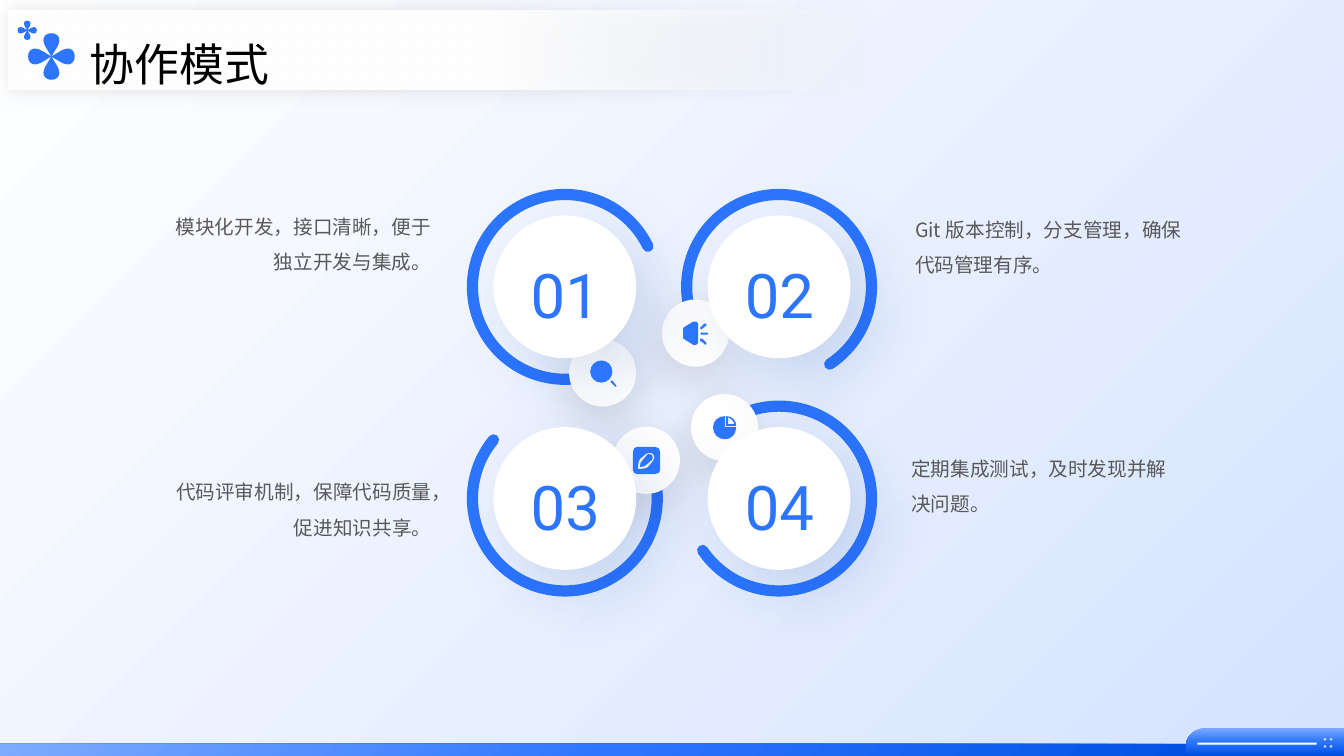
from dataclasses import dataclass
from math import cos, radians, sin

from lxml import etree
from pptx import Presentation, util as u
from pptx.dml.color import RGBColor
from pptx.enum import shapes, text
from pptx.oxml import ns

COLS, ROWS = 160, 90
CELL = u.Inches(1) // 12
HUNDREDTH = 0.12
COLORS = {
    "white": "FFFFFF", "mist": "D5E3FF", "blue": "2C75FF", "sky": "7EABFF",
    "deep": "004EE0", "navy": "003496", "black": "000000", "gray": "595959",
}
CJK, DIGITS = "Noto Sans CJK SC", "Roboto"
LEFT, CENTER, RIGHT = text.PP_ALIGN.LEFT, text.PP_ALIGN.CENTER, text.PP_ALIGN.RIGHT
KIND = shapes.MSO_SHAPE

Point = tuple[float, float]


@dataclass
class Contour:
    points: list[Point]
    commands: str


@dataclass
class Shadow:
    color: str
    alpha: int
    blur: float
    dist: float
    angle: int


@dataclass
class Mode:
    col: float
    row: float
    start: float
    end: float
    number: str
    note: str
    note_col: float
    note_row: float
    align: text.PP_ALIGN


@dataclass
class Bubble:
    col: float
    row: float
    icon: str


def circle(x: float, y: float, r: float) -> str:
    k = 0.55 * r
    return (f"M {x} {y - r} C {x + k} {y - r} {x + r} {y - k} {x + r} {y} "
            f"C {x + r} {y + k} {x + k} {y + r} {x} {y + r} "
            f"C {x - k} {y + r} {x - r} {y + k} {x - r} {y} "
            f"C {x - r} {y - k} {x - k} {y - r} {x} {y - r} Z ")


MODES = [
    Mode(56.25, 23.15, 74.06, 334.04, "01", "模块化开发，接口清晰，便于独立开发与集成。", 17.6, 23.6, RIGHT),
    Mode(81.75, 23.15, 150.55, 56.82, "02", "Git 版本控制，分支管理，确保代码管理有序。", 107.75, 23.95, LEFT),
    Mode(56.25, 48.35, 334.99, 219.45, "03", "代码评审机制，保障代码质量，促进知识共享。", 17.65, 55.2, RIGHT),
    Mode(81.75, 48.35, 234.44, 145.86, "04", "定期集成测试，及时发现并解决问题。", 107.3, 52.4, LEFT),
]
SEARCH = circle(32, 32, 11) + "M 42 41 L 43 41 L 47 46 L 47 47 L 46 47 L 42 43 L 41 42 Z"
SPEAKER = (
    "M 39 39 L 40 39 L 44 43 L 44 44 L 43 45 L 42 44 L 38 41 L 38 39 Z "
    "M 39 33 L 45 33 L 46 34 L 45 35 L 39 35 L 38 34 Z "
    "M 43 24 L 44 24 L 44 26 L 40 29 L 39 30 L 38 29 L 38 28 L 42 24 Z "
    "M 32 22 C 33 22 34 22 34 22 C 36 23 36 24 36 25 L 36 41 C 36 43 36 44 34 45 "
    "C 33 45 32 45 31 45 L 23 40 C 21 40 21 38 21 37 L 21 30 C 21 29 21 27 23 27 L 31 22 Z")
PIE = (
    "M 37 23 L 37 30 L 43 30 C 43 28 42 27 41 26 C 40 25 39 24 37 23 Z "
    "M 35 22 C 41 22 45 26 45 32 L 35 32 Z "
    "M 34 22 L 34 33 L 45 33 C 45 40 40 45 34 45 C 27 45 22 40 22 33 C 22 27 27 22 34 22 Z")
PEN = (
    "M 36 27 C 37 27 38 28 39 28 C 40 30 40 32 39 33 L 33 38 C 33 39 30 40 27 40 "
    "C 27 37 28 34 29 34 L 34 28 C 34 28 35 27 36 27 Z "
    "M 36 26 C 35 26 34 26 33 27 L 27 32 C 25 34 25 42 25 42 C 25 42 33 42 35 40 "
    "L 40 34 C 42 32 42 29 40 27 C 39 26 37 26 36 26 Z "
    "M 24 20 L 42 20 C 45 20 47 22 47 25 L 47 43 C 47 45 45 47 42 47 L 24 47 "
    "C 22 47 20 45 20 43 L 20 25 C 20 22 22 20 24 20 Z")
BUBBLES = [Bubble(67.75, 40.4, SEARCH), Bubble(78.8, 35.65, SPEAKER),
           Bubble(82.25, 46.9, PIE), Bubble(72.95, 50.8, PEN)]
STRIP = "M 0 738 L 1221 738 C 1225 738 1229 741 1229 745 L 1227 750 L 0 750 Z"
TAB = "M 1198 722 L 1333 722 L 1333 750 L 1177 750 L 1177 738 C 1177 729 1187 722 1198 722 Z"
DOTS = "".join(circle(x, y, 1.4) for y in (733.5, 740.5) for x in (1314.5, 1320.5))
PETAL = ("M 0 0 L -3 -5 C -4 -7 -5 -8 -6 -10 C -8 -14 -9 -18 -6 -21 C -4 -23 -2 -23 0 -23 "
         "C 2 -23 4 -23 6 -21 C 9 -18 8 -14 6 -10 C 5 -8 4 -7 3 -5 Z")
DISC_SHADOW = Shadow("navy", 14, 48, 21, 45)
BUBBLE_SHADOW = Shadow("black", 12, 33, 10, 90)
BANNER_SHADOW = Shadow("black", 10, 13, 0, 0)

prs = Presentation()
prs.slide_width, prs.slide_height = COLS * CELL, ROWS * CELL
s = prs.slides.add_slide(prs.slide_layouts[6])


def grid(*cells: float) -> list[int]:
    return [round(c * CELL) for c in cells]


def rgb(name: str) -> RGBColor:
    return RGBColor.from_string(COLORS[name])


def color_xml(parent, name: str, alpha: int) -> None:
    clr = etree.SubElement(parent, ns.qn("a:srgbClr"), val=COLORS[name])
    if alpha < 100:
        etree.SubElement(clr, ns.qn("a:alpha"), val=str(alpha * 1000))


def finish(sp, fill: str | None, shadow: Shadow | None = None) -> None:
    sp.shadow.inherit = False
    sp.line.fill.background()
    if fill:
        sp.fill.solid()
        sp.fill.fore_color.rgb = rgb(fill)
    else:
        sp.fill.background()
    if shadow:
        effects = sp._element.spPr.find(ns.qn("a:effectLst"))
        outer = etree.SubElement(
            effects, ns.qn("a:outerShdw"), blurRad=str(u.Pt(shadow.blur)),
            dist=str(u.Pt(shadow.dist)), dir=str(shadow.angle * 60000), rotWithShape="0")
        color_xml(outer, shadow.color, shadow.alpha)


def gradient(sp, stops: list[tuple[int, str, int]], angle: int | None) -> None:
    grad = etree.Element(ns.qn("a:gradFill"), rotWithShape="1")
    gs_list = etree.SubElement(grad, ns.qn("a:gsLst"))
    for pos, name, alpha in stops:
        color_xml(etree.SubElement(gs_list, ns.qn("a:gs"), pos=str(pos * 1000)), name, alpha)
    if angle is None:
        radial = etree.SubElement(grad, ns.qn("a:path"), {"path": "circle"})
        etree.SubElement(radial, ns.qn("a:fillToRect"), r="100000", b="100000")
    else:
        etree.SubElement(grad, ns.qn("a:lin"), ang=str(angle * 60000), scaled="0")
    sp_pr = sp._element.spPr
    sp_pr.replace(sp_pr.find(ns.qn("a:noFill")), grad)


def shape(kind, col: float, row: float, w: float, h: float, fill: str | None, shadow: Shadow | None = None):
    sp = s.shapes.add_shape(kind, *grid(col, row, w, h))
    finish(sp, fill, shadow)
    return sp


def contours(outline: str) -> list[Contour]:
    result = []
    for part in outline.split("M")[1:]:
        tokens = part.split()
        numbers = [float(t) for t in tokens if t not in "LCZ"]
        commands = "".join(t for t in tokens if t in "LC")
        result.append(Contour(list(zip(numbers[::2], numbers[1::2])), commands))
    return result


def free(parts: list[Contour], fill: str | None, col: float = 0, row: float = 0, scale: float = HUNDREDTH):
    placed = [[tuple(grid(col + x * scale, row + y * scale)) for x, y in part.points] for part in parts]
    builder = s.shapes.build_freeform(*placed[0][0])
    for i, points in enumerate(placed):
        if i:
            builder.move_to(*points[0])
        builder.add_line_segments(points[1:], close=True)
    sp = builder.convert_to_shape()
    segments = iter(list(sp._element.iter(ns.qn("a:lnTo"))))
    for command in "".join(part.commands for part in parts):
        segment = next(segments)
        if command == "C":
            curve = etree.Element(ns.qn("a:cubicBezTo"))
            segment.addprevious(curve)
            for piece in (segment, next(segments), next(segments)):
                curve.append(piece[0])
                piece.getparent().remove(piece)
    finish(sp, fill)
    return sp


def turned(part: Contour, degrees: float) -> Contour:
    c, d = cos(radians(degrees)), sin(radians(degrees))
    return Contour([(x * c - y * d, x * d + y * c) for x, y in part.points], part.commands)


def label(words: str, col: float, row: float, w: float, h: float, size: int, font: str,
          color: str, align, spacing: float):
    tf = s.shapes.add_textbox(*grid(col, row, w, h)).text_frame
    tf.word_wrap = True
    p = tf.paragraphs[0]
    p.alignment, p.line_spacing = align, spacing
    r = p.add_run()
    r.text = words
    r.font.size, r.font.name, r.font.color.rgb = u.Pt(size), font, rgb(color)
    etree.SubElement(r._r.get_or_add_rPr(), ns.qn("a:ea"), typeface=font)
    return tf


gradient(shape(KIND.RECTANGLE, 0, 0, COLS, ROWS, None), [(0, "white", 100), (100, "mist", 100)], 45)
BLUES = [(0, "sky", 100), (50, "blue", 100), (100, "deep", 100)]
gradient(free(contours(STRIP), None), BLUES, None)
gradient(free(contours(TAB), None), BLUES, 90)
shape(KIND.RECTANGLE, 142.55, 88.4, 14.2, 0.24, "white")
free(contours(DOTS), "mist")

for m in MODES:
    ring = shape(KIND.ARC, m.col, m.row, 22, 22, None)
    ring.adjustments[0], ring.adjustments[1] = m.start * 0.6, m.end * 0.6
    ring.line.color.rgb, ring.line.width = rgb("blue"), u.Pt(8)
    ring.line._get_or_add_ln().set("cap", "rnd")
for b in BUBBLES:
    shape(KIND.ROUNDED_RECTANGLE, b.col, b.row, 8, 8, "white", BUBBLE_SHADOW).adjustments[0] = 0.5
for m in MODES:
    shape(KIND.OVAL, m.col + 2.5, m.row + 2.5, 17, 17, "white", DISC_SHADOW)
    tf = label(m.number, m.col + 2.7, m.row + 5.95, 16.7, 9.25, 44, DIGITS, "blue", CENTER, 1.1)
    tf.auto_size = text.MSO_AUTO_SIZE.SHAPE_TO_FIT_TEXT
for m in MODES:
    label(m.note, m.note_col, m.note_row, 34.9, 22.8, 14, CJK, "gray", m.align, 1.5)
for b in BUBBLES:
    free(contours(b.icon), "blue", b.col, b.row)

banner = shape(KIND.RECTANGLE, 1.05, 1.2, 138.6, 9.5, None, BANNER_SHADOW)
gradient(banner, [(25, "white", 0), (60, "white", 100)], 180)
tf = label("协作模式", 10.7, 3.1, 102.1, 5.65, 32, CJK, "black", LEFT, 1.5)
tf.vertical_anchor = text.MSO_ANCHOR.MIDDLE
tf.margin_left = tf.margin_top = tf.margin_right = tf.margin_bottom = 0

clover = [turned(contours(PETAL)[0], angle) for angle in range(45, 360, 90)]
for col, row, scale in ((6.12, 6.72, HUNDREDTH), (3.24, 3.6, 0.05)):
    free(clover, "blue", col, row, scale).rotation = 225

prs.save("out.pptx")
